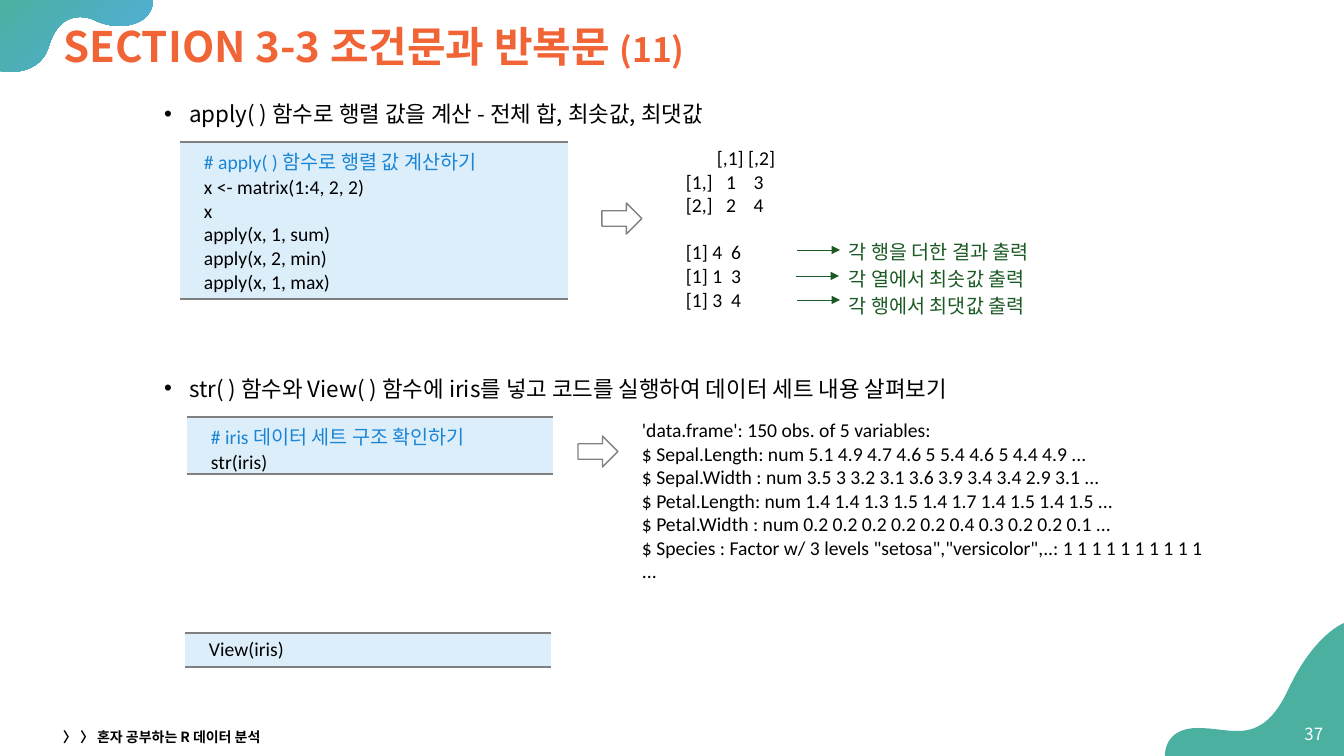
import pptx
import pptx.dml.color
import pptx.enum.shapes
import pptx.enum.text
import pptx.oxml.ns
import pptx.util
import lxml.etree

SCALE = 914400 / 100.8
KOREAN, LATIN = "Noto Sans CJK KR", "Calibri"
BLACK, WHITE, BLUE, GREEN, GRAY = "000000", "FFFFFF", "1A85D5", "1C5A25", "808080"
ORANGE, TEAL, SKY, PALE = "F06436", "4BB0A0", "52AEE1", "DDEEFB"

TITLE = [("SECTION 3-3 조건문과 반복문 ", 30), ("(11)", 24)]
TITLE_BOX = (53, 12, 1244, 74)
TOPICS = [
    ("apply( ) 함수로 행렬 값을 계산 - 전체 합, 최솟값, 최댓값", 0),
    ("str( ) 함수와 View( ) 함수에 iris를 넣고 코드를 실행하여 데이터 세트 내용 살펴보기", 173),
]
TOPICS_BOX = (53, 90, 1244, 580)
PAGE, PAGE_BOX = "37", (1289, 714, 44, 40)
FOOTER, FOOTER_BOX = "〉 〉 혼자 공부하는 R 데이터 분석", (53, 725, 454, 24)

CODE_BLOCKS = [
    ((180, 142, 388, 157), ["# apply( ) 함수로 행렬 값 계산하기", "x <- matrix(1:4, 2, 2)", "x",
                            "apply(x, 1, sum)", "apply(x, 2, min)", "apply(x, 1, max)"]),
    ((187, 417, 366, 57), ["# iris 데이터 세트 구조 확인하기", "str(iris)"]),
    ((185, 633, 366, 34), ["View(iris)"]),
]
OUTPUTS = [
    ((676, 141, 220, 176), [
        ["       [,1] [,2]", "[1,]   1    3", "[2,]   2    4"],
        ["[1] 4  6", "[1] 1  3", "[1] 3  4"]]),
    ((632, 413, 678, 200), [
        ["'data.frame': 150 obs. of 5 variables:",
         "$ Sepal.Length: num 5.1 4.9 4.7 4.6 5 5.4 4.6 5 4.4 4.9 ...",
         "$ Sepal.Width : num 3.5 3 3.2 3.1 3.6 3.9 3.4 3.4 2.9 3.1 ...",
         "$ Petal.Length: num 1.4 1.4 1.3 1.5 1.4 1.7 1.4 1.5 1.4 1.5 ...",
         "$ Petal.Width : num 0.2 0.2 0.2 0.2 0.2 0.4 0.3 0.2 0.2 0.1 ...",
         '$ Species : Factor w/ 3 levels "setosa","versicolor",..: 1 1 1 1 1 1 1 1 1 1',
         "..."]]),
]
BLOCK_ARROWS = [(602, 203, 40, 31), (578, 436, 40, 31)]
RESULTS = [
    ("각 행을 더한 결과 출력", 797, 840, 250),
    ("각 열에서 최솟값 출력", 796, 839, 276),
    ("각 행에서 최댓값 출력", 797, 840, 300),
]
RESULT_LEFT, RESULT_TOP, RESULT_STEP, RESULT_SIZE = 839, 235, 27, (286, 34)

CORNER_TOP = [
    (153, 0), (0, 0), (0, 71),
    (0, 71, 4, 72, 11, 72), (24, 72, 43, 67, 49, 46), (56, 23, 69, 17, 80, 17),
    (85, 17, 90, 18, 94, 20), (102, 24, 111, 26, 119, 26), (138, 26, 153, 17, 153, 0),
]
CORNER_BOTTOM = [
    (1344, 623),
    (1344, 623, 1314, 634, 1288, 690), (1272, 724, 1255, 731, 1237, 731),
    (1225, 731, 1212, 728, 1198, 728), (1163, 728, 1165, 756, 1165, 756),
    (1344, 756),
]


def px(value):
    return pptx.util.Emu(round(value * SCALE))


def box_of(lengths):
    return [px(length) for length in lengths]


def rgb(value):
    return pptx.dml.color.RGBColor.from_string(value)


def child(parent, tag, **attributes):
    element = lxml.etree.SubElement(parent, pptx.oxml.ns.qn(tag))
    for key, value in attributes.items():
        element.set(key, value)
    return element


def add_run(paragraph, text, size, color, font=LATIN, bold=False):
    run = paragraph.add_run()
    run.text = text
    run.font.size = pptx.util.Pt(size)
    run.font.bold = bold
    run.font.color.rgb = rgb(color)
    run.font.name = font


def next_paragraph(frame, index):
    return frame.add_paragraph() if index else frame.paragraphs[0]


def add_text_box(box, anchor=pptx.enum.text.MSO_ANCHOR.TOP):
    frame = slide.shapes.add_textbox(*box_of(box)).text_frame
    frame.word_wrap = True
    frame.vertical_anchor = anchor
    return frame


def place(placeholder, box):
    placeholder.left, placeholder.top, placeholder.width, placeholder.height = box_of(box)
    frame = placeholder.text_frame
    frame.auto_size = pptx.enum.text.MSO_AUTO_SIZE.NONE
    return frame


def add_corner(outline):
    points = [(px(segment[i]), px(segment[i + 1]))
              for segment in outline for i in range(0, len(segment), 2)]
    builder = slide.shapes.build_freeform(*points[0], scale=1.0)
    builder.add_line_segments(points[1:], close=True)
    corner = builder.convert_to_shape()
    corner.shadow.inherit = False
    corner.line.fill.background()
    steps = iter(list(corner._element.iter(pptx.oxml.ns.qn("a:lnTo"))))
    for segment in outline[1:]:
        first = next(steps)
        if len(segment) == 6:
            curve = lxml.etree.Element(pptx.oxml.ns.qn("a:cubicBezTo"))
            first.addprevious(curve)
            for step in (first, next(steps), next(steps)):
                curve.append(step[0])
                step.getparent().remove(step)
    return corner


def add_code_block(box, lines):
    table = slide.shapes.add_table(1, 1, *box_of(box)).table
    table.first_row = table.horz_banding = False
    cell = table.cell(0, 0)
    cell.margin_left, cell.margin_right, cell.margin_top, cell.margin_bottom = box_of((24, 10, 5, 5))
    borders = cell._tc.get_or_add_tcPr()
    for side in ("a:lnL", "a:lnR"):
        child(child(borders, side, w="0"), "a:noFill")
    for side in ("a:lnT", "a:lnB"):
        child(child(child(borders, side, w="12700"), "a:solidFill"), "a:srgbClr", val=GRAY)
    cell.fill.solid()
    cell.fill.fore_color.rgb = rgb(PALE)
    for index, line in enumerate(lines):
        color = BLUE if line.startswith("#") else BLACK
        add_run(next_paragraph(cell.text_frame, index), line, 14, color)


deck = pptx.Presentation()
deck.slide_width, deck.slide_height = px(1344), px(756)
slide = deck.slides.add_slide(deck.slide_layouts[1])

corner_top = add_corner(CORNER_TOP)
corner_top.fill.gradient()
corner_top.fill.gradient_angle = 315
for stop, color, position in zip(corner_top.fill.gradient_stops, (TEAL, SKY), (0, 1)):
    stop.color.rgb = rgb(color)
    stop.position = position
corner_bottom = add_corner(CORNER_BOTTOM)
corner_bottom.fill.solid()
corner_bottom.fill.fore_color.rgb = rgb(TEAL)

title = place(slide.shapes.title, TITLE_BOX)
title.vertical_anchor = pptx.enum.text.MSO_ANCHOR.MIDDLE
heading = title.paragraphs[0]
heading.alignment = pptx.enum.text.PP_ALIGN.LEFT
heading.line_spacing = 0.9
for text, size in TITLE:
    add_run(heading, text, size, ORANGE, KOREAN, True)

topics = place(slide.placeholders[1], TOPICS_BOX)
for index, (text, gap) in enumerate(TOPICS):
    topic = next_paragraph(topics, index)
    topic.level = 2
    topic.line_spacing = 1.2
    topic.space_before = pptx.util.Pt(gap)
    indents = topic._p.get_or_add_pPr()
    indents.set("marL", str(px(126)))
    indents.set("indent", str(px(-25)))
    child(indents, "a:buFont", typeface="Arial")
    child(indents, "a:buChar", char="•")
    add_run(topic, text, 16, BLACK, KOREAN)

page = add_text_box(PAGE_BOX, pptx.enum.text.MSO_ANCHOR.MIDDLE).paragraphs[0]
page.alignment = pptx.enum.text.PP_ALIGN.RIGHT
add_run(page, PAGE, 12, WHITE, KOREAN)
footer = add_text_box(FOOTER_BOX, pptx.enum.text.MSO_ANCHOR.MIDDLE).paragraphs[0]
add_run(footer, FOOTER, 10, BLACK, KOREAN, True)

for box, lines in CODE_BLOCKS:
    add_code_block(box, lines)

for box, groups in OUTPUTS:
    output = add_text_box(box)
    for group_index, group in enumerate(groups):
        for line_index, text in enumerate(group):
            line = next_paragraph(output, group_index + line_index)
            if group_index and not line_index:
                line.space_before = pptx.util.Pt(17)
            add_run(line, text, 14, BLACK)

for box in BLOCK_ARROWS:
    block_arrow = slide.shapes.add_shape(pptx.enum.shapes.MSO_SHAPE.RIGHT_ARROW, *box_of(box))
    block_arrow.shadow.inherit = False
    block_arrow.fill.background()
    block_arrow.line.color.rgb = rgb(GRAY)
    block_arrow.line.width = pptx.util.Pt(1)

for index, (text, start, end, y) in enumerate(RESULTS):
    pointer = slide.shapes.add_connector(pptx.enum.shapes.MSO_CONNECTOR.STRAIGHT, *box_of((start, y, end, y)))
    pointer.line.color.rgb = rgb(GREEN)
    pointer.line.width = pptx.util.Pt(0.5)
    child(pointer.line._get_or_add_ln(), "a:tailEnd", type="triangle")
    child(pointer._element.spPr, "a:effectLst")
    result = add_text_box((RESULT_LEFT, RESULT_TOP + index * RESULT_STEP, *RESULT_SIZE))
    add_run(result.paragraphs[0], text, 14, GREEN)

deck.save("out.pptx")
